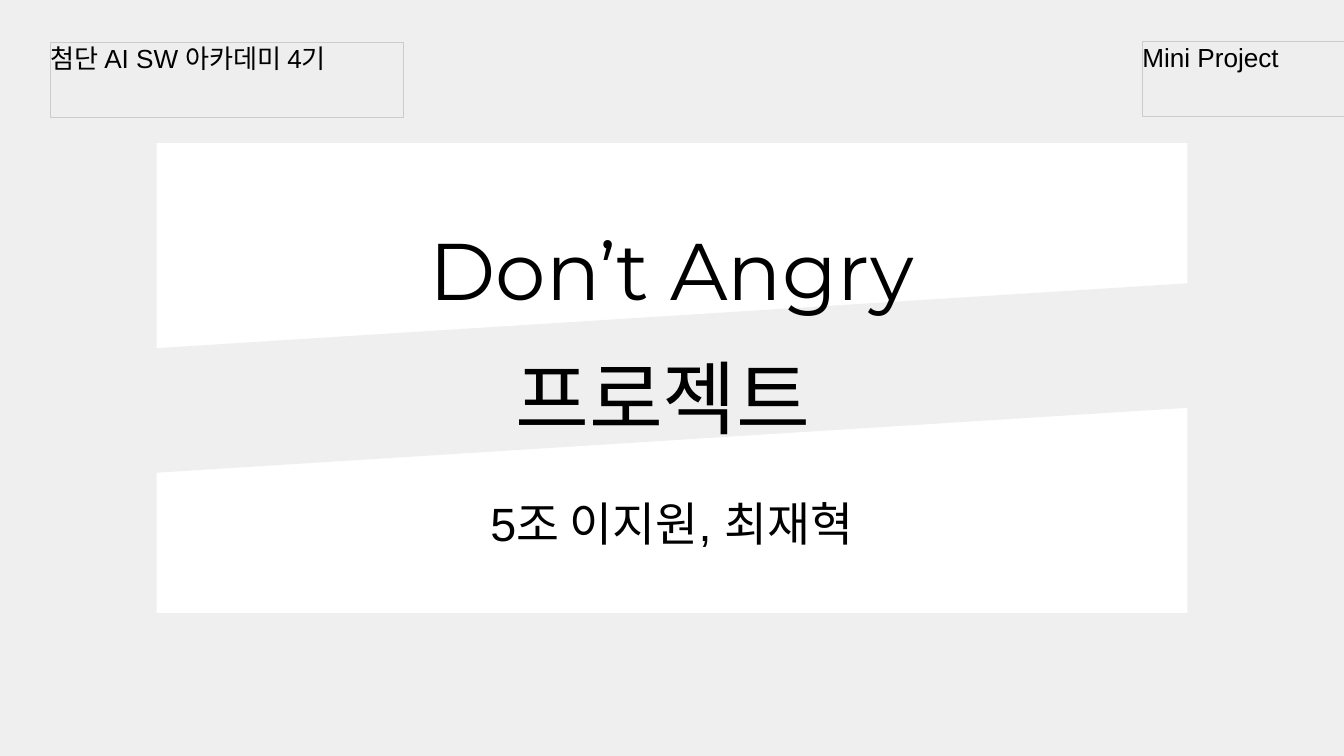
from dataclasses import dataclass

from pptx import Presentation, util as u
from pptx.dml.color import RGBColor
from pptx.enum import shapes, text


@dataclass(frozen=True)
class Theme:
    """Colours, fonts and type sizes of the deck."""
    backdrop: str = "EFEFEF"
    panel: str = "FFFFFF"
    tag: str = "EEEEEE"
    tag_border: str = "CCCCCC"
    ink: str = "000000"
    display: str = "Montserrat"
    plain: str = "Arial"
    title_size: float = 86
    names_size: float = 50
    tag_size: float = 28


class CoverBuilder:
    """Draws a cover on a grid of 80 columns by 45 rows."""
    COLUMNS, ROWS = 80, 45

    def __init__(self, deck, theme):
        """Start a title slide with a plain backdrop."""
        self.theme = theme
        self.column = deck.slide_width / self.COLUMNS
        self.row = deck.slide_height / self.ROWS
        self.slide = deck.slides.add_slide(deck.slide_layouts[0])
        self.paint(self.slide.background.fill, theme.backdrop)

    def paint(self, fill, colour):
        """Give a fill one solid colour."""
        fill.solid()
        fill.fore_color.rgb = RGBColor.from_string(colour)

    def area(self, top, width, height, left=None):
        """Turn grid units into a frame, centred when no left is given."""
        left = (self.COLUMNS - width) / 2 if left is None else left
        return (round(left * self.column), round(top * self.row),
                round(width * self.column), round(height * self.row))

    def add_line(self, frame, words, font, size, align, leading=None):
        """Set one line of text without margins."""
        frame.word_wrap = True
        frame.vertical_anchor = text.MSO_ANCHOR.TOP
        frame.margin_left = frame.margin_top = 0
        frame.margin_right = frame.margin_bottom = 0
        line = frame.paragraphs[0]
        line.alignment = align
        line.space_before = u.Pt(0)
        if leading:
            frame.auto_size = text.MSO_AUTO_SIZE.SHAPE_TO_FIT_TEXT
            line.line_spacing = u.Pt(leading)
        run = line.add_run()
        run.text = words
        run.font.name, run.font.size = font, u.Pt(size)
        run.font.color.rgb = RGBColor.from_string(self.theme.ink)

    def block(self, area, colour, border=None, rotation=0):
        """Add a flat rectangle."""
        block = self.slide.shapes.add_shape(shapes.MSO_SHAPE.RECTANGLE, *area)
        block.shadow.inherit = False
        block.rotation = rotation
        self.paint(block.fill, colour)
        if border:
            self.paint(block.line.fill, border)
            block.line.width = u.Pt(0)
        else:
            block.line.fill.background()
        return block

    def tag(self, area, words):
        """Add a bordered label."""
        label = self.block(area, self.theme.tag, self.theme.tag_border)
        self.add_line(label.text_frame, words, self.theme.plain,
                      self.theme.tag_size, text.PP_ALIGN.LEFT)

    def heading(self, holder, area, words, font, size, leading):
        """Fill a centred heading and bring it to the front."""
        holder.left, holder.top, holder.width, holder.height = area
        self.add_line(holder.text_frame, words, font, size,
                      text.PP_ALIGN.CENTER, leading)
        holder.element.getparent().append(holder.element)


def main():
    """Build the cover slide and save it."""
    deck = Presentation()
    deck.slide_width, deck.slide_height = u.Inches(20), u.Inches(11.25)
    theme = Theme()
    cover = CoverBuilder(deck, theme)
    title, names = cover.slide.placeholders

    cover.block(cover.area(8.52, 61.36, 27.96), theme.panel)
    cover.block(cover.area(18.8, 65.72, 7.4), theme.backdrop, rotation=356.4)

    cover.heading(title, cover.area(12.16, 38.4, 6.68), "Don’t Angry",
                  theme.display, theme.title_size, 120.4)
    cover.heading(names, cover.area(28.88, 50.88, 3.88), "5조 이지원, 최재혁",
                  theme.plain, theme.names_size, 70)
    project_area = cover.area(17.92, 50.88, 8.56)
    project = cover.slide.shapes.add_textbox(*project_area)
    cover.heading(project, project_area, "프로젝트 ",
                  theme.display, theme.title_size, 154)

    cover.tag(cover.area(2.52, 21, 4.48, left=3), "첨단 AI SW 아카데미 4기")
    cover.tag(cover.area(2.44, 12, 4.48, left=68), "Mini Project")
    deck.save("out.pptx")


if __name__ == "__main__":
    main()
